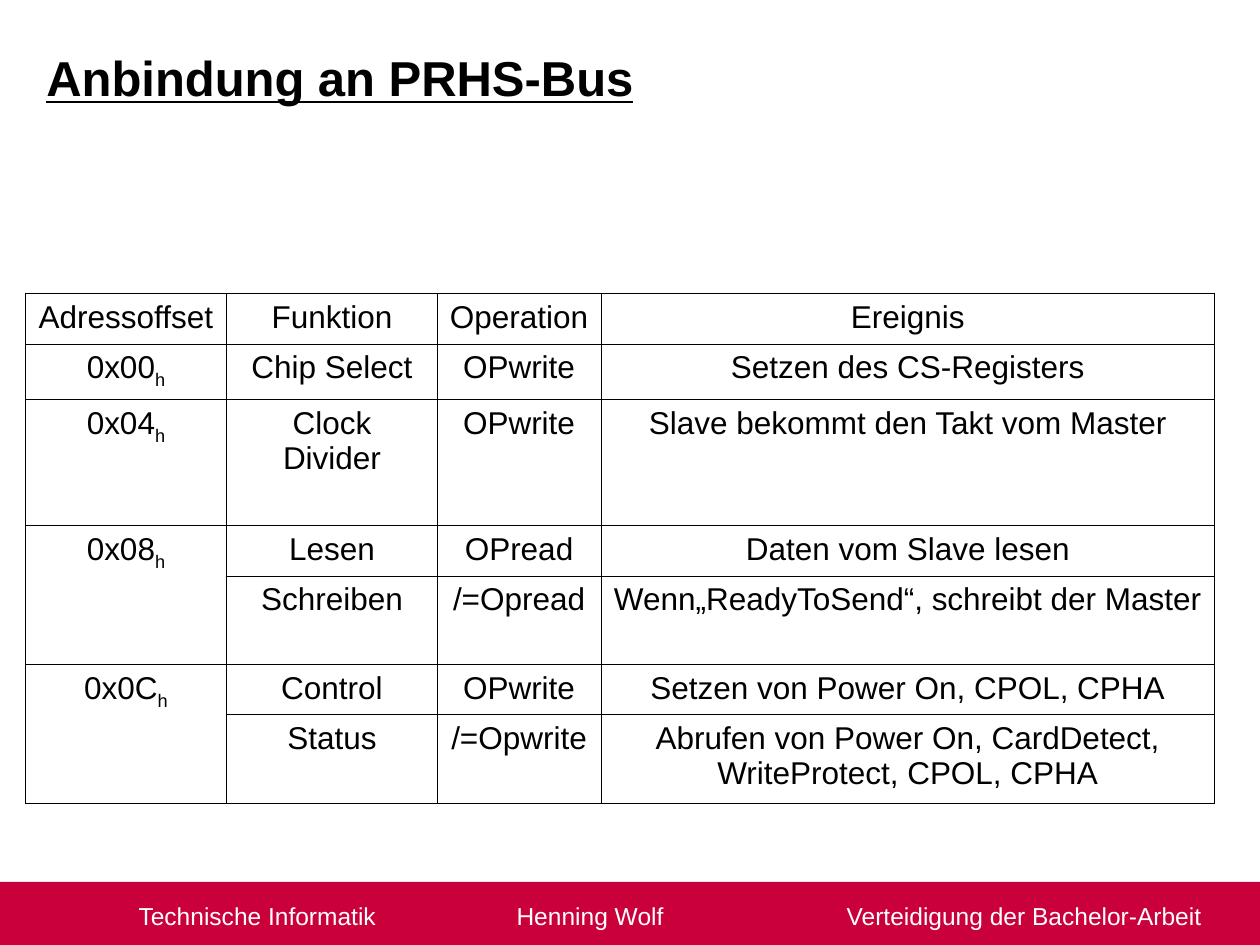
from lxml.etree import SubElement
from pptx import Presentation
from pptx.dml.color import RGBColor as Color
from pptx.enum.shapes import MSO_SHAPE as Shape
from pptx.enum.text import MSO_ANCHOR as Anchor, PP_ALIGN as Align
from pptx.oxml.ns import qn
from pptx.util import Inches, Pt

COLORS = {"bar": "CA003B", "ink": "000000", "paper": "FFFFFF"}
COLUMN_WIDTHS = [1.6, 1.67, 1.3, 4.87]
ROW_HEIGHTS = [0.4, 0.44, 1, 0.4, 0.7, 0.4, 0.7]
HEADINGS = ["Adressoffset", "Funktion", "Operation", "Ereignis"]
REGISTERS = [
    ("0x00", [("Chip Select", "OPwrite", "Setzen des CS-Registers")]),
    ("0x04", [("Clock Divider", "OPwrite", "Slave bekommt den Takt vom Master")]),
    ("0x08", [("Lesen", "OPread", "Daten vom Slave lesen"),
              ("Schreiben", "/=Opread", "Wenn„ReadyToSend“, schreibt der Master")]),
    ("0x0C", [("Control", "OPwrite", "Setzen von Power On, CPOL, CPHA"),
              ("Status", "/=Opwrite",
               "Abrufen von Power On, CardDetect, WriteProtect, CPOL, CPHA")]),
]


class SlideBuilder:
    font_name = "Arial"
    border_width = 0.45

    def __init__(self, page):
        self.page = page

    def style(self, para, size, color="ink", align=Align.LEFT):
        para.alignment = align
        para.font.name = self.font_name
        para.font.size = Pt(size)
        para.font.color.rgb = Color.from_string(COLORS[color])

    def title(self, text, left, top, width, height):
        box = self.page.shapes.add_textbox(
            Inches(left), Inches(top), Inches(width), Inches(height))
        frame = box.text_frame
        frame.word_wrap = True
        frame.margin_top = Inches(0.1)
        para = frame.paragraphs[0]
        para.text = text
        self.style(para, 28)
        para.font.bold = True
        para.font.underline = True

    def footer(self, entries, left, top, width, height):
        bar = self.page.shapes.add_shape(
            Shape.RECTANGLE, Inches(left), Inches(top), Inches(width), Inches(height))
        bar.shadow.inherit = False
        bar.fill.solid()
        bar.fill.fore_color.rgb = Color.from_string(COLORS["bar"])
        bar.line.fill.background()
        frame = bar.text_frame
        frame.word_wrap = True
        frame.margin_left = frame.margin_right = 0
        frame.vertical_anchor = Anchor.MIDDLE
        para = frame.paragraphs[0]
        para.text = "".join("\t" + text for text, _ in entries)
        self.style(para, 14, "paper")
        stops = para._p.get_or_add_pPr()
        tab_list = stops.makeelement(qn("a:tabLst"), {})
        stops.insert(0, tab_list)
        for _, position in entries:
            SubElement(tab_list, qn("a:tab"), pos=str(Inches(position)), algn="l")

    def border(self, cell):
        properties = cell._tc.get_or_add_tcPr()
        for index, side in enumerate(("a:lnL", "a:lnR", "a:lnT", "a:lnB")):
            line = properties.makeelement(qn(side), {"w": str(Pt(self.border_width))})
            properties.insert(index, line)
            fill = SubElement(line, qn("a:solidFill"))
            SubElement(fill, qn("a:srgbClr"), val=COLORS["ink"])

    def cell(self, cell, text, subscript=""):
        para = cell.text_frame.paragraphs[0]
        para.text = text
        self.style(para, 18, align=Align.CENTER)
        if subscript:
            span = para.add_run()
            span.text = subscript
            span.font._element.set("baseline", "-25000")

    def table(self, headings, registers, left, top):
        table = self.page.shapes.add_table(
            len(ROW_HEIGHTS), len(COLUMN_WIDTHS), Inches(left), Inches(top),
            Inches(sum(COLUMN_WIDTHS)), Inches(sum(ROW_HEIGHTS))).table
        table.first_row = table.horz_banding = False
        for column, width in zip(table.columns, COLUMN_WIDTHS):
            column.width = Inches(width)
        for row, height in zip(table.rows, ROW_HEIGHTS):
            row.height = Inches(height)
        for cell in table.iter_cells():
            cell.fill.background()
            self.border(cell)
        for column, heading in enumerate(headings):
            self.cell(table.cell(0, column), heading)
        row = 1
        for address, accesses in registers:
            address_cell = table.cell(row, 0)
            self.cell(address_cell, address, "h")
            if len(accesses) > 1:
                address_cell.merge(table.cell(row + len(accesses) - 1, 0))
            for access in accesses:
                for column, text in enumerate(access, 1):
                    self.cell(table.cell(row, column), text)
                row += 1


def main():
    deck = Presentation()
    deck.slide_width, deck.slide_height = Inches(10), Inches(7.5)
    builder = SlideBuilder(deck.slides.add_slide(deck.slide_layouts[6]))
    builder.footer([("Technische Informatik", 1.1), ("Henning Wolf", 4.1),
                    ("Verteidigung der Bachelor-Arbeit", 6.72)], 0, 7, 10, 0.54)
    builder.title("Anbindung an PRHS-Bus", 0.27, 0.28, 7.87, 0.79)
    builder.table(HEADINGS, REGISTERS, 0.2, 2.33)
    deck.save("out.pptx")


if __name__ == "__main__":
    main()
